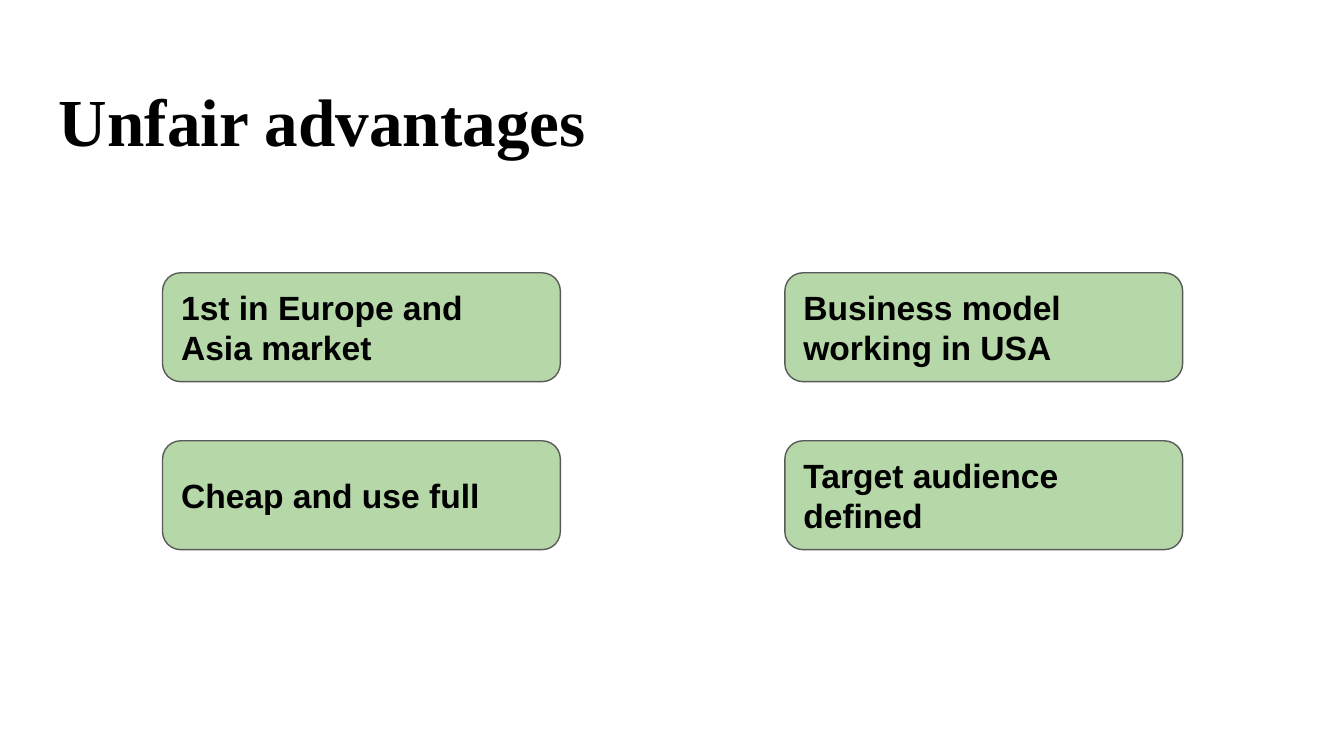
from dataclasses import dataclass

from pptx import Presentation
from pptx.dml.color import RGBColor
from pptx.enum.shapes import MSO_SHAPE
from pptx.enum.text import MSO_ANCHOR, PP_ALIGN
from pptx.util import Inches, Pt


@dataclass(frozen=True)
class Theme:
    text: RGBColor = RGBColor(0x00, 0x00, 0x00)
    card_fill: RGBColor = RGBColor(0xB6, 0xD7, 0xA8)
    card_line: RGBColor = RGBColor(0x59, 0x59, 0x59)
    title_font: str = "Times New Roman"
    card_font: str = "Arial"
    title_size: int = 36
    card_size: int = 18


THEME = Theme()
ADVANTAGES = [
    ["1st in Europe and Asia market", "Business model working in USA"],
    ["Cheap and use full", "Target audience defined"],
]


def write_text(shape, text, font_name, size, anchor):
    frame = shape.text_frame
    frame.word_wrap = True
    frame.vertical_anchor = anchor
    frame.margin_left = frame.margin_right = Inches(0.1)
    frame.margin_top = frame.margin_bottom = Inches(0.1)
    paragraph = frame.paragraphs[0]
    paragraph.text = text
    paragraph.alignment = PP_ALIGN.LEFT
    paragraph.font.name = font_name
    paragraph.font.size = Pt(size)
    paragraph.font.bold = True
    paragraph.font.color.rgb = THEME.text


def add_title(slide, text, left, top, width, height):
    title = slide.shapes.add_textbox(
        Inches(left), Inches(top), Inches(width), Inches(height))
    write_text(title, text, THEME.title_font, THEME.title_size,
               MSO_ANCHOR.TOP)


def add_card(slide, text, left, top, width, height):
    card = slide.shapes.add_shape(
        MSO_SHAPE.ROUNDED_RECTANGLE,
        Inches(left), Inches(top), Inches(width), Inches(height))
    card.shadow.inherit = False
    card.fill.solid()
    card.fill.fore_color.rgb = THEME.card_fill
    card.line.color.rgb = THEME.card_line
    card.line.width = Pt(0.75)
    write_text(card, text, THEME.card_font, THEME.card_size,
               MSO_ANCHOR.MIDDLE)


def add_card_grid(slide, rows, left, top, width, height):
    """Spread the cards so that the outer ones touch the edges of the box."""
    card_width, card_height = 2.96, 0.81
    column_step = (width - card_width) / (len(rows[0]) - 1)
    row_step = (height - card_height) / (len(rows) - 1)
    for row, texts in enumerate(rows):
        for column, text in enumerate(texts):
            add_card(slide, text, left + column * column_step,
                     top + row * row_step, card_width, card_height)


def main():
    presentation = Presentation()
    presentation.slide_width = Inches(10)
    presentation.slide_height = presentation.slide_width * 9 // 16
    slide = presentation.slides.add_slide(presentation.slide_layouts[6])
    add_title(slide, "Unfair advantages", 0.34, 0.49, 9.32, 0.63)
    add_card_grid(slide, ADVANTAGES, 1.21, 2.03, 7.59, 2.06)
    presentation.save("out.pptx")


if __name__ == "__main__":
    main()
